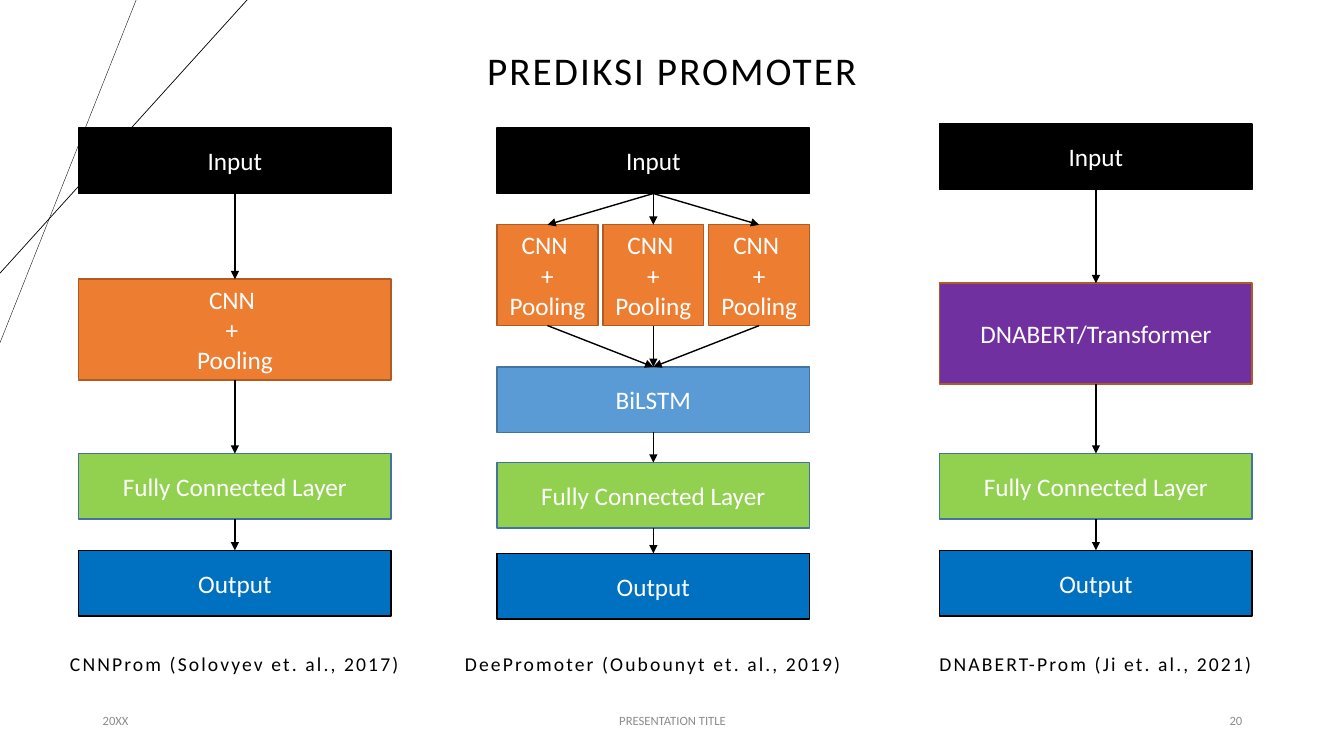
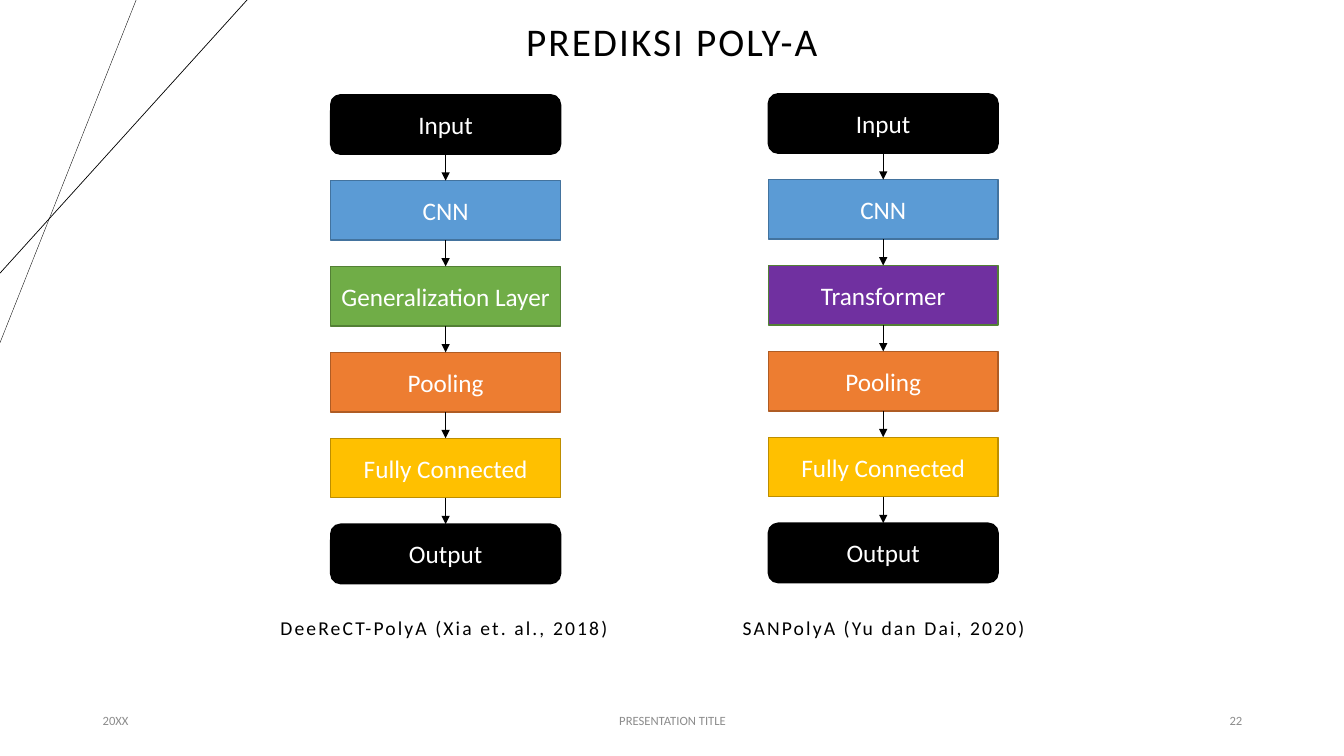
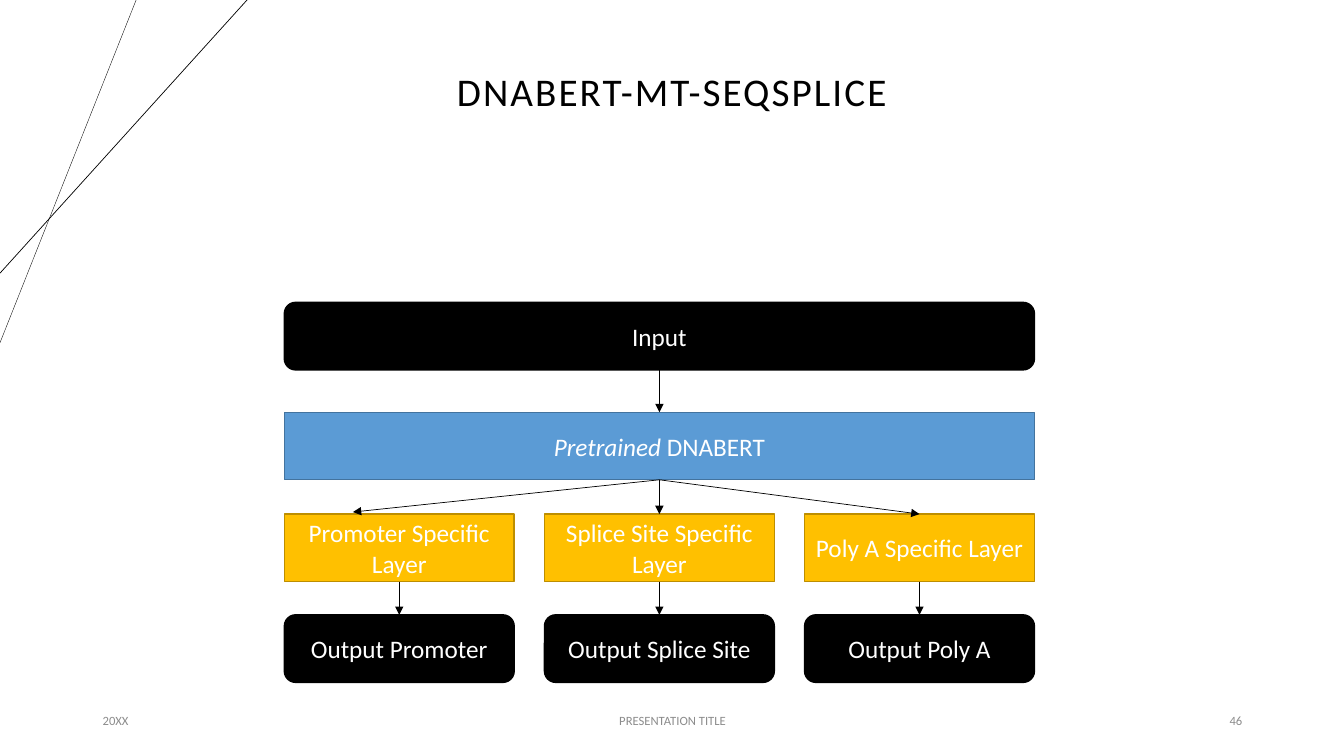
from itertools import product
from lxml.etree import SubElement
from pptx import Presentation
from pptx.dml.color import RGBColor
from pptx.enum.shapes import MSO_CONNECTOR, MSO_SHAPE
from pptx.enum.text import MSO_ANCHOR, PP_ALIGN
from pptx.oxml.ns import qn
from pptx.util import Inches, Pt

FONT = "Calibri"
BLACK, WHITE, GRAY = "000000", "FFFFFF", "8C8C8C"
RECT, ROUND = MSO_SHAPE.RECTANGLE, MSO_SHAPE.ROUNDED_RECTANGLE
LEFT, MID, RIGHT = PP_ALIGN.LEFT, PP_ALIGN.CENTER, PP_ALIGN.RIGHT

STYLES = {
    "input": (RECT, BLACK, BLACK),
    "output": (RECT, "0070C0", BLACK),
    "end": (ROUND, BLACK, BLACK),
    "orange": (RECT, "ED7D31", "AF5C24"),
    "blue": (RECT, "5B9BD5", "43739E"),
    "lime": (RECT, "92D050", "43739E"),
    "green": (RECT, "70AD47", "538035"),
    "yellow": (RECT, "FFC000", "BD8E00"),
    "violet": (RECT, "7030A0", "AF5C24"),
    "purple": (RECT, "7030A0", "538035"),
}

CONV = "CNN \v+ Pooling"
DENSE = "Fully Connected Layer"
PROMOTER = [
    (0.78, 0.15, "CNNProm (Solovyev et. al., 2017)", [
        (1.27, 0.65, "input", ["Input"]),
        (2.77, 1, "orange", ["CNN \v+ \vPooling"]),
        (4.5, 0.65, "lime", [DENSE]),
        (5.46, 0.65, "output", ["Output"])]),
    (4.93, 4.3, "DeePromoter (Oubounyt et. al., 2019)", [
        (1.27, 0.65, "input", ["Input"]),
        (2.23, 1, "orange", [CONV] * 3),
        (3.64, 0.65, "blue", ["BiLSTM"]),
        (4.59, 0.65, "lime", [DENSE]),
        (5.49, 0.65, "output", ["Output"])]),
    (9.32, 8.69, "DNABERT-Prom (Ji et. al., 2021)", [
        (1.23, 0.65, "input", ["Input"]),
        (2.81, 1, "violet", ["DNABERT/Transformer"]),
        (4.5, 0.65, "lime", [DENSE]),
        (5.46, 0.65, "output", ["Output"])]),
]

POLYA = [
    (3.28, 2.23, 0.94, "DeeReCT-PolyA (Xia et. al., 2018)",
     ("green", "Generalization Layer")),
    (7.62, 6.59, 0.93, "SANPolyA (Yu dan Dai, 2020)",
     ("purple", "Transformer")),
]

SPLICE = [
    (3, 0.67, "end", ["Input"]),
    (4.09, 0.67, "blue", [("Pretrained ", "DNABERT")]),
    (5.1, 0.67, "yellow", ["Promoter Specific Layer",
                           "Splice Site Specific Layer",
                           "Poly A Specific Layer"]),
    (6.1, 0.67, "end", ["Output Promoter", "Output Splice Site",
                        "Output Poly A"]),
]


def color(code):
    return RGBColor.from_string(code)


def write(shape, text, size, tint, align=MID, anchor=MSO_ANCHOR.MIDDLE,
          space=None, lead=None):
    frame = shape.text_frame
    frame.word_wrap = True
    frame.vertical_anchor = anchor
    para = frame.paragraphs[0]
    if isinstance(text, tuple):
        for part in text:
            para.add_run().text = part
        para.runs[0].font.italic = True
    else:
        para.text = text
    para.alignment = align
    para.line_spacing = lead
    for run in para.runs:
        run.font.name = FONT
        run.font.size = Pt(size)
        run.font.color.rgb = color(tint)
        if space:
            run._r.get_or_add_rPr().set("spc", str(space))


def label(slide, place, text, size, tint, **opts):
    box = slide.shapes.add_textbox(*map(Inches, place))
    write(box, text, size, tint, **opts)


def line(slide, start, end, width):
    points = map(Inches, (*start, *end))
    link = slide.shapes.add_connector(MSO_CONNECTOR.STRAIGHT, *points)
    link.line.color.rgb = color(BLACK)
    link.line.width = Pt(width)
    SubElement(link._element.spPr, qn("a:effectLst"))
    return link


def arrow(slide, first, last, width, aim=None):
    link = line(slide, (0, 0), aim or (0, 0), width)
    link.begin_connect(first, 2)
    if not aim:
        link.end_connect(last, 0)
    SubElement(link.line._get_or_add_ln(), qn("a:tailEnd"), type="triangle")


def block(slide, place, style, text):
    kind, fill, edge = STYLES[style]
    shape = slide.shapes.add_shape(kind, *map(Inches, place))
    shape.shadow.inherit = False
    shape.fill.solid()
    shape.fill.fore_color.rgb = color(fill)
    shape.line.color.rgb = color(edge)
    shape.line.width = Pt(1)
    write(shape, text, 18, WHITE)
    return shape


def flow(slide, left, width, rows, weight, gap=0.05, aims={}):
    above = []
    for top, height, style, texts in rows:
        count = len(texts)
        wide = (width - gap * (count - 1)) / count
        row = [(block(slide, (left + i * (wide + gap), top, wide, height),
                      style, text), aims.get(text))
               for i, text in enumerate(texts)]
        pairs = zip(above, row) if len(above) == count else product(above, row)
        for (first, _), (last, aim) in pairs:
            arrow(slide, first, last, weight, aim)
        above = row


def caption(slide, left, top, text):
    label(slide, (left, top, 4.35, 0.4), text, 14, BLACK,
          anchor=MSO_ANCHOR.BOTTOM, space=150, lead=0.9)


def page(deck, title, top, height, number):
    slide = deck.slides.add_slide(deck.slide_layouts[6])
    line(slide, (1.35, 0), (0, 3.4), 0.25)
    line(slide, (2.45, 0), (0, 2.71), 0.5)
    label(slide, (2.06, top, 9.21, height), title, 28, BLACK,
          space=150, lead=0.9)
    for left, width, text, align in [(0.92, 3, "20XX", LEFT),
                                     (4.42, 4.5, "PRESENTATION TITLE", MID),
                                     (9.42, 3, number, RIGHT)]:
        label(slide, (left, 6.95, width, 0.4), text, 9, GRAY, align=align)
    return slide


def main():
    deck = Presentation()
    deck.slide_width, deck.slide_height = Inches(13.33), Inches(7.5)

    slide = page(deck, "PREDIKSI PROMOTER", 0, 1.45, "20")
    for left, edge, text, rows in PROMOTER:
        flow(slide, left, 3.1, rows, 1)
        caption(slide, edge, 6.35, text)

    slide = page(deck, "PREDIKSI POLY-A", 0, 0.86, "22")
    for left, edge, top, text, core in POLYA:
        steps = [("end", "Input"), ("blue", "CNN"), core,
                 ("orange", "Pooling"), ("yellow", "Fully Connected"),
                 ("end", "Output")]
        pitch = 4.26 / (len(steps) - 1)
        rows = [(top + i * pitch, 0.59, style, [name])
                for i, (style, name) in enumerate(steps)]
        flow(slide, left, 2.28, rows, 0.5)
        caption(slide, edge, 6, text)

    slide = page(deck, "DNABERT-MT-SEQSPLICE", 0.21, 1.45, "46")
    flow(slide, 2.82, 7.44, SPLICE, 0.5, 0.3,
         {"Promoter Specific Layer": (3.5, 5.08)})

    deck.save("out.pptx")


if __name__ == "__main__":
    main()
